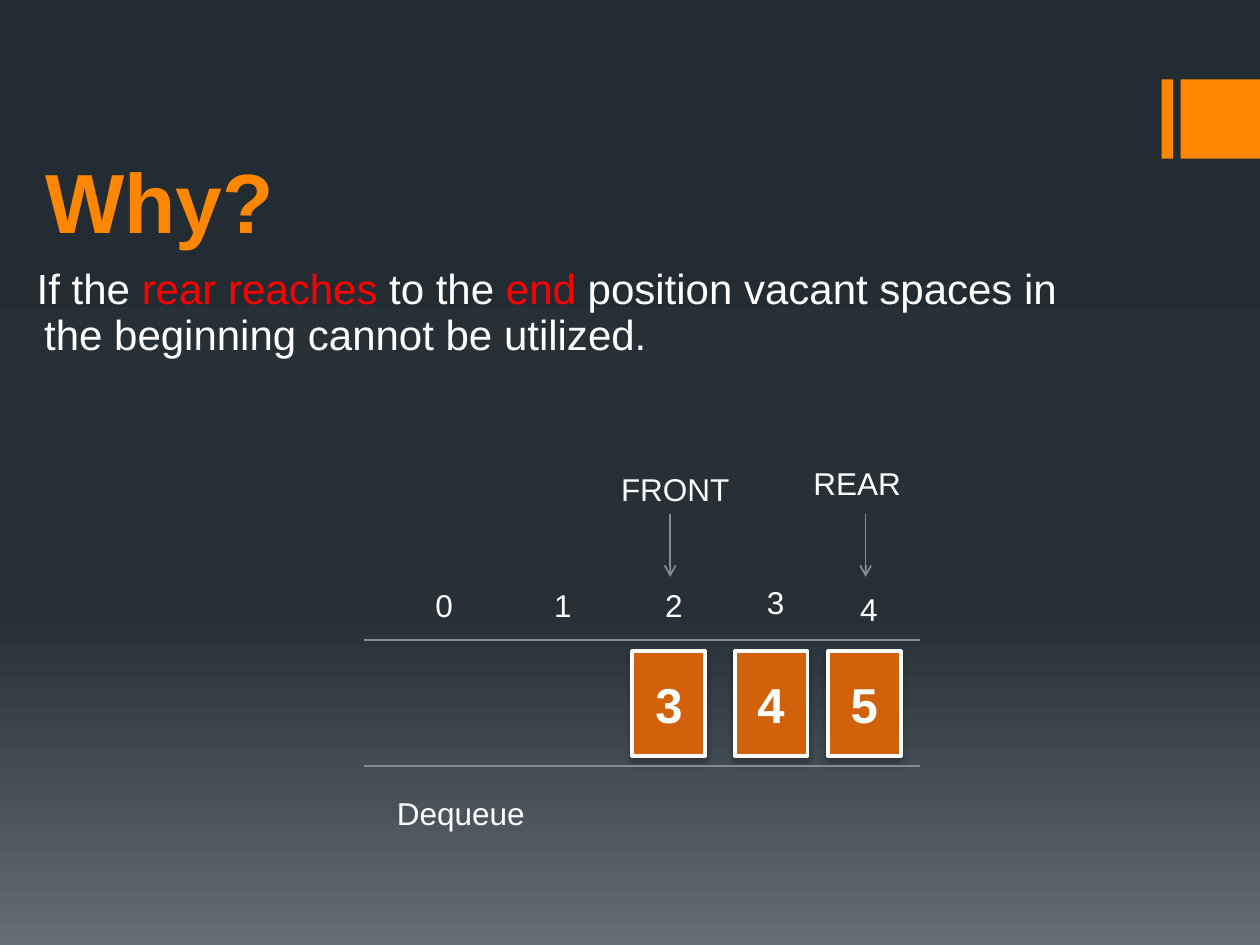
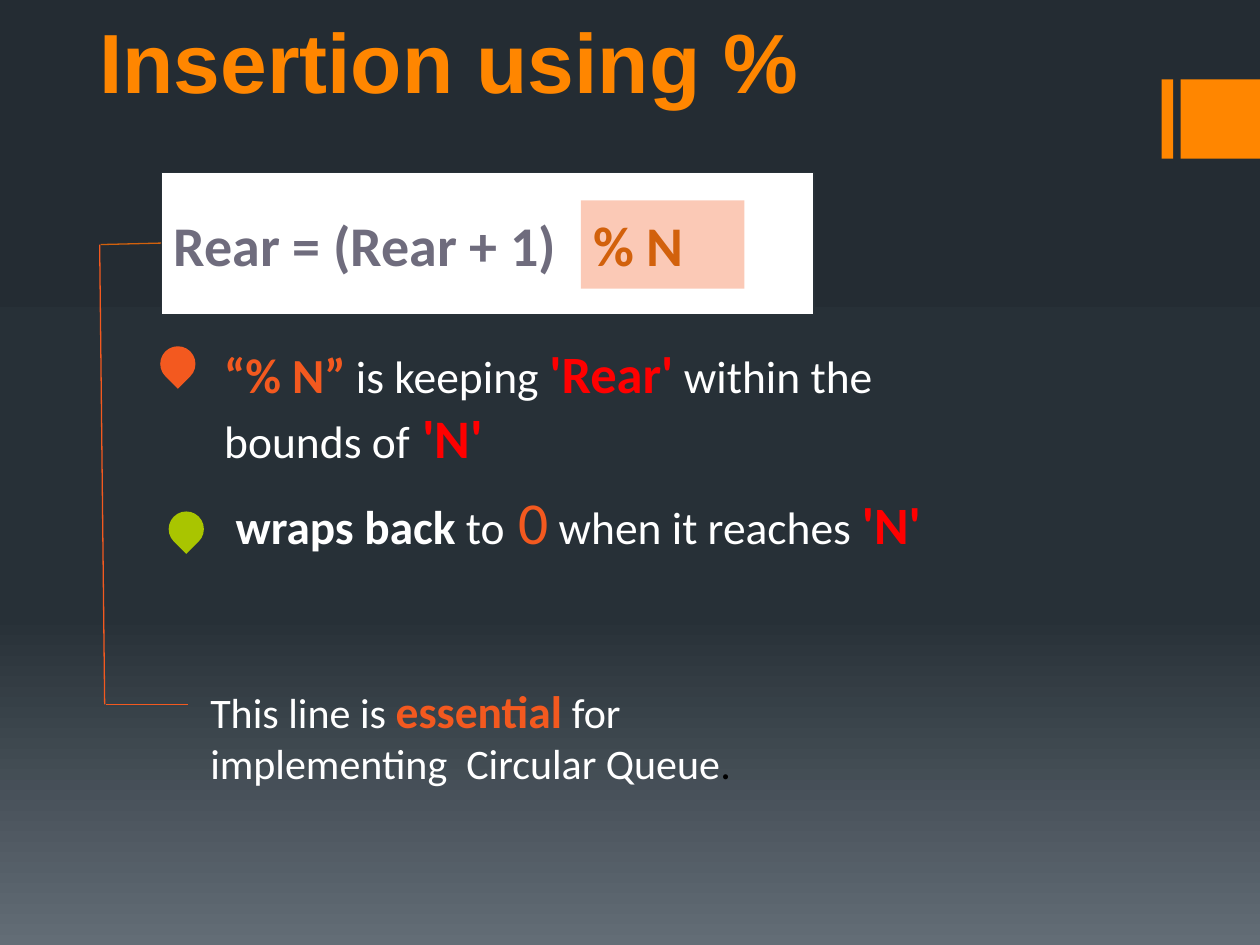
from copy import deepcopy
from dataclasses import dataclass

from lxml.etree import SubElement
from pptx import Presentation
from pptx.dml.color import RGBColor
from pptx.enum.shapes import MSO_CONNECTOR, MSO_SHAPE
from pptx.enum.text import MSO_ANCHOR, MSO_AUTO_SIZE, PP_ALIGN
from pptx.oxml.ns import qn
from pptx.util import Cm, Pt


@dataclass(frozen=True)
class Theme:
    accent: str = "FF8600"
    white: str = "FFFFFF"
    black: str = "000000"
    red: str = "FF0000"
    rust: str = "D2610C"
    coral: str = "F3591F"
    lime: str = "A9C500"
    slate: str = "6F6C7D"
    edge: str = "283138"
    rule: str = "838D9B"
    backdrop: tuple = ((0, "242C33"), (0.65, "273037"), (1, "636D76"))
    head_font: str = "Arial"
    text_font: str = "Calibri"
    title: int = 48
    formula: int = 32
    item: int = 28
    body: int = 24
    label: int = 18
    note: int = 26
    strong: int = 30


T = Theme()


def rgb(color):
    return RGBColor.from_string(color)


# Text
def add_run(p, text, size=T.body, color=T.white, bold=False, font=T.head_font):
    r = p.add_run()
    r.text = text
    r.font.size, r.font.bold, r.font.name = Pt(size), bold, font
    r.font.color.rgb = rgb(color)
    return r


def set_frame(tf, anchor=MSO_ANCHOR.TOP, inset=(0.25, 0.13)):
    tf.word_wrap = True
    tf.auto_size = MSO_AUTO_SIZE.NONE
    tf.vertical_anchor = anchor
    tf.margin_left = tf.margin_right = Cm(inset[0])
    tf.margin_top = tf.margin_bottom = Cm(inset[1])


def place(sp, box):
    sp.left, sp.top, sp.width, sp.height = (Cm(v) for v in box)


def add_text(slide, box, runs, inset=(0.25, 0.25), **fmt):
    """Each run is (text, format); fmt holds for all runs."""
    tf = slide.shapes.add_textbox(*(Cm(v) for v in box)).text_frame
    set_frame(tf, inset=inset)
    for text, own in runs:
        add_run(tf.paragraphs[0], text, **{**fmt, **own})


def add_label(slide, text, left, top, width=0.69):
    add_text(slide, (left, top, width, 1.02), [(text, {})],
             inset=(0.25, 0.13), size=T.label)


def set_title(slide, text, box, anchor):
    sp = slide.shapes.title
    place(sp, box)
    set_frame(sp.text_frame, anchor)
    p = sp.text_frame.paragraphs[0]
    p.alignment, p.line_spacing = PP_ALIGN.LEFT, 0.9
    add_run(p, text, size=T.title, color=T.accent, bold=True)


# Shapes and lines
def add_block(slide, box, fill, kind=MSO_SHAPE.RECTANGLE, line=None, weight=0.75):
    sp = slide.shapes.add_shape(kind, *(Cm(v) for v in box))
    sp.shadow.inherit = False
    sp.fill.solid()
    sp.fill.fore_color.rgb = rgb(fill)
    if line:
        sp.line.color.rgb = rgb(line)
        sp.line.width = Pt(weight)
    else:
        sp.line.fill.background()
    return sp


def fill_text(sp, text, align=PP_ALIGN.LEFT, **fmt):
    set_frame(sp.text_frame, MSO_ANCHOR.MIDDLE, (0.25, 0.25))
    p = sp.text_frame.paragraphs[0]
    p.alignment = align
    add_run(p, text, bold=True, **fmt)


def add_line(slide, start, end, color=T.rule, weight=1.0, arrow=False):
    cx = slide.shapes.add_connector(
        MSO_CONNECTOR.STRAIGHT, *(Cm(v) for v in (*start, *end)))
    cx.line.color.rgb = rgb(color)
    cx.line.width = Pt(weight)
    if arrow:
        SubElement(cx.line._get_or_add_ln(), qn("a:tailEnd"), type="arrow")
    SubElement(cx._element.spPr, qn("a:effectLst"))


def drop_shadow(sp):
    effects = sp._element.spPr.find(qn("a:effectLst"))
    shadow = SubElement(effects, qn("a:outerShdw"), blurRad=str(Pt(4)),
                        dist=str(Pt(3)), dir="5400000", rotWithShape="0")
    color = SubElement(shadow, qn("a:srgbClr"), val=T.black)
    SubElement(color, qn("a:alpha"), val="28000")


def add_queue_item(slide, text, left):
    sp = add_block(slide, (left, 13.13, 1.47, 2.11), T.rust, line=T.white, weight=2.25)
    drop_shadow(sp)
    fill_text(sp, text, PP_ALIGN.CENTER, size=T.item)


def add_marker(slide, left, top, color):
    sp = add_block(slide, (left, top, 0.71, 0.71), color, MSO_SHAPE.TEAR)
    sp.rotation = 135


# Shared look
def style_master(prs, slide):
    master = prs.slide_master
    fill = master.background.fill
    fill.gradient()
    fill.gradient_angle = 270
    stops = next(master.element.iter(qn("a:gsLst")))
    stops.append(deepcopy(stops[0]))
    for stop, (position, color) in zip(fill.gradient_stops, T.backdrop):
        stop.position = position
        stop.color.rgb = rgb(color)
    # The corner bands move from the slide to the master
    for left, width in ((23.42, 0.23), (23.8, 1.6)):
        band = add_block(slide, (left, 1.6, width, 1.6), T.accent)
        master.shapes._spTree.append(band._element)


# Slides
def build_why(slide):
    set_title(slide, "Why?", (0.66, 2.31, 21.9, 3.68), MSO_ANCHOR.MIDDLE)

    body = slide.placeholders[1]
    place(body, (0, 5.28, 21.9, 12.09))
    set_frame(body.text_frame)
    p = body.text_frame.paragraphs[0]
    pPr = p._p.get_or_add_pPr()
    pPr.set("marL", str(Cm(0.64)))
    pPr.set("indent", str(Cm(-0.15)))
    SubElement(pPr, qn("a:buNone"))
    p.line_spacing, p.space_before = 0.9, Pt(0)
    for text, color in (
            ("If the ", T.white), ("rear reaches ", T.red), ("to the ", T.white),
            ("end", T.red),
            (" position vacant spaces in the beginning cannot be utilized.", T.white)):
        add_run(p, text, color=color)

    # Queue with its items
    for text, left in (("3", 12.75), ("4", 14.81), ("5", 16.69)):
        add_queue_item(slide, text, left)
    for y in (12.9, 15.44):
        add_line(slide, (7.34, y), (18.54, y))

    # Pointers
    for x in (13.51, 17.45):
        add_line(slide, (x, 10.36), (x, 11.63), arrow=True)
    add_label(slide, "FRONT", 12.27, 9.35, 2.97)
    add_label(slide, "REAR", 16.15, 9.22, 2.54)

    # Indices
    places = ((8.53, 11.68), (10.92, 11.68), (13.16, 11.68), (15.21, 11.63), (17.09, 11.76))
    for index, (left, top) in enumerate(places):
        add_label(slide, str(index), left, top)
    add_label(slide, "Dequeue", 7.75, 15.88, 3.53)


def build_insertion(slide):
    set_title(slide, "Insertion using %", (1.75, 0.3, 21.9, 2.06), MSO_ANCHOR.TOP)
    add_marker(slide, 3.23, 6.98, T.coral)
    add_marker(slide, 3.4, 10.31, T.lime)

    # Formula
    formula = add_block(slide, (3.25, 3.48, 13.16, 2.87), T.white, line=T.edge)
    fill_text(formula, "Rear = (Rear + 1)", size=T.formula, color=T.slate, font=T.text_font)
    modulo = add_block(slide, (11.71, 4.04, 3.3, 1.78), T.coral)
    tint = modulo._element.spPr.find(qn("a:solidFill"))[0]
    SubElement(tint, qn("a:alpha"), val="32000")
    fill_text(modulo, "% N", size=T.formula, color=T.rust, font=T.text_font)

    # Explanations
    key = dict(size=T.strong, color=T.red, bold=True)
    add_text(slide, (4.27, 6.63, 13.64, 2.26), [
        ("“% N”", dict(size=T.item, color=T.coral, bold=True)),
        (" is keeping ", {}), ("'Rear'", key), (" within the bounds of", {}),
        (" 'N'", {**key, "size": 31})], size=T.note, font=T.text_font)
    add_text(slide, (4.5, 9.52, 14.43, 2.69), [
        ("wraps back", dict(size=27, bold=True)), (" to", {}),
        (" 0", dict(size=34, color=T.coral)), (" when it reaches ", {}),
        ("'N'", key)], size=T.note, font=T.text_font)
    add_text(slide, (3.99, 13.51, 13.16, 2.26), [
        ("This line is ", {}),
        ("essential", dict(size=T.note, color=T.coral, bold=True)),
        (" for implementing  Circular Queue", {}),
        (".", dict(color=T.black))], font=T.text_font)

    # Bracket from the formula to the remark
    for start, end, color in (((2.01, 4.93), (2.11, 14.2), T.coral),
                              ((2.03, 4.93), (3.25, 4.9), T.rust),
                              ((2.13, 14.2), (3.78, 14.2), T.coral)):
        add_line(slide, start, end, color, 0.75)


def main():
    prs = Presentation()
    prs.slide_width, prs.slide_height = Cm(25.4), Cm(19.05)
    why = prs.slides.add_slide(prs.slide_layouts[1])
    insertion = prs.slides.add_slide(prs.slide_layouts[5])
    style_master(prs, why)
    build_why(why)
    build_insertion(insertion)
    prs.save("out.pptx")


if __name__ == "__main__":
    main()
